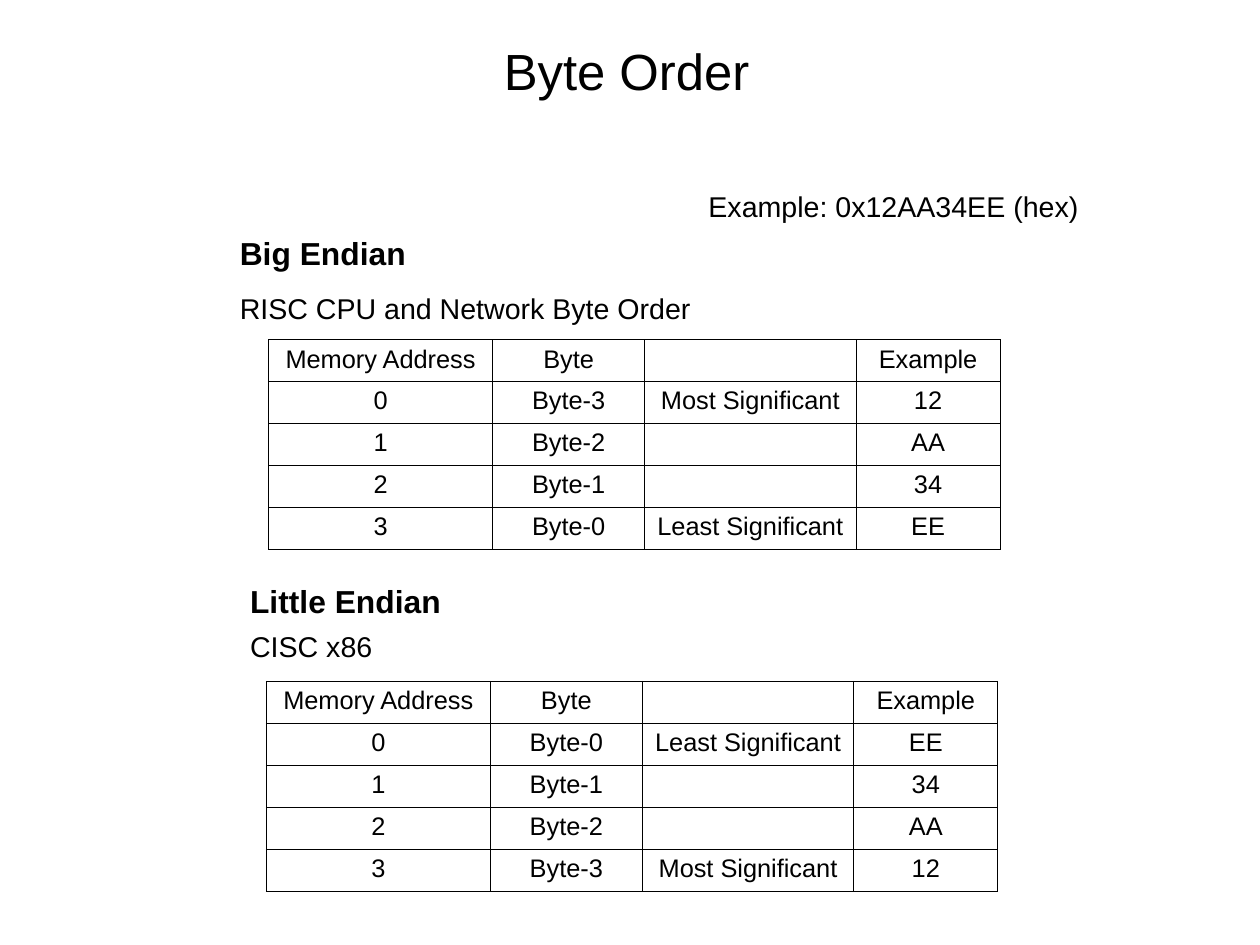
"""Build the Byte Order slide."""
from dataclasses import dataclass

from lxml import etree
from pptx import Presentation
from pptx.dml.color import RGBColor
from pptx.enum.text import MSO_AUTO_SIZE, PP_ALIGN
from pptx.oxml.ns import qn
from pptx.util import Cm, Inches, Length, Pt

CENTER = PP_ALIGN.CENTER
LEFT = PP_ALIGN.LEFT
GROW = MSO_AUTO_SIZE.SHAPE_TO_FIT_TEXT
FONT = "Arial"
BLACK = "000000"
UNIT = Inches(0.1)
COL_SPANS = [19.6, 13.3, 18.5, 12.6]
ROW_SPAN = 3.66
BORDER_PT = 0.57
BORDER_SIDES = ("a:lnL", "a:lnR", "a:lnT", "a:lnB")
MOST, LEAST = "Most Significant", "Least Significant"
HEADER = ["Memory Address", "Byte", "", "Example"]
BYTES = [("Byte-3", MOST, "12"), ("Byte-2", "", "AA"),
         ("Byte-1", "", "34"), ("Byte-0", LEAST, "EE")]


@dataclass
class Label:
    """A line of text, placed in grid columns and rows."""
    text: str
    col: float
    row: float
    cols: float
    rows: float
    size: int
    bold: bool = False


@dataclass
class ByteTable:
    """A memory layout, placed in grid columns and rows."""
    col: float
    row: float
    content: list[tuple[str, str, str]]


LABELS = [
    Label("Byte Order", 43.1, 3, 24, 6, 32),
    Label("Big Endian", 20, 20, 17, 4.1, 20, True),
    Label("Little Endian", 20.9, 50.4, 21, 4.1, 20, True),
    Label("RISC CPU and Network Byte Order", 20, 25, 66, 3.8, 18),
    Label("CISC x86", 20.9, 54.5, 48, 3.8, 18),
    Label("Example: 0x12AA34EE (hex)", 61, 16, 39, 3.8, 18),
]
TABLES = [ByteTable(23.5, 29.7, BYTES), ByteTable(23.3, 59.6, BYTES[::-1])]


def grid(span: float) -> Length:
    """Turn a number of grid units into a length."""
    return Length(round(span * UNIT))


def color(value: str) -> RGBColor:
    """Turn a hex string into a colour."""
    return RGBColor.from_string(value)


def write(p, text: str, size: int, bold: bool = False, align=LEFT) -> None:
    """Fill a paragraph with text and set its font."""
    p.text = text
    p.alignment = align
    p.font.name = FONT
    p.font.size = Pt(size)
    p.font.bold = bold
    p.font.color.rgb = color(BLACK)


def add_label(s, label: Label) -> None:
    """Draw a label as a text box."""
    sp = s.shapes.add_textbox(grid(label.col), grid(label.row),
                              grid(label.cols), grid(label.rows))
    tf = sp.text_frame
    tf.word_wrap = True
    tf.auto_size = GROW
    write(tf.paragraphs[0], label.text, label.size, label.bold)


def add_borders(cell) -> None:
    """Give a cell a thin line on every side."""
    props = cell._tc.get_or_add_tcPr()
    for side in BORDER_SIDES:
        line = etree.SubElement(props, qn(side), w=str(int(Pt(BORDER_PT))))
        fill = etree.SubElement(line, qn("a:solidFill"))
        etree.SubElement(fill, qn("a:srgbClr"), val=BLACK)


def add_byte_table(s, layout: ByteTable) -> None:
    """Draw a memory layout as a bordered table."""
    rows = [HEADER] + [[str(i), *row] for i, row in enumerate(layout.content)]
    table = s.shapes.add_table(
        len(rows), len(COL_SPANS), grid(layout.col), grid(layout.row),
        grid(sum(COL_SPANS)), grid(ROW_SPAN * len(rows))).table
    table.first_row = False
    table.horz_banding = False
    for column, span in zip(table.columns, COL_SPANS):
        column.width = grid(span)
    for r, values in enumerate(rows):
        table.rows[r].height = grid(ROW_SPAN)
        for c, text in enumerate(values):
            cell = table.cell(r, c)
            add_borders(cell)
            cell.fill.background()
            if not text:
                cell.margin_top = cell.margin_bottom = 0
            write(cell.text_frame.paragraphs[0], text, 16, align=CENTER)


def main() -> None:
    """Create and save the slide."""
    prs = Presentation()
    prs.slide_width = Cm(28)
    prs.slide_height = Cm(21)
    s = prs.slides.add_slide(prs.slide_layouts[6])
    for label in LABELS:
        add_label(s, label)
    for layout in TABLES:
        add_byte_table(s, layout)
    prs.save("out.pptx")


if __name__ == "__main__":
    main()
